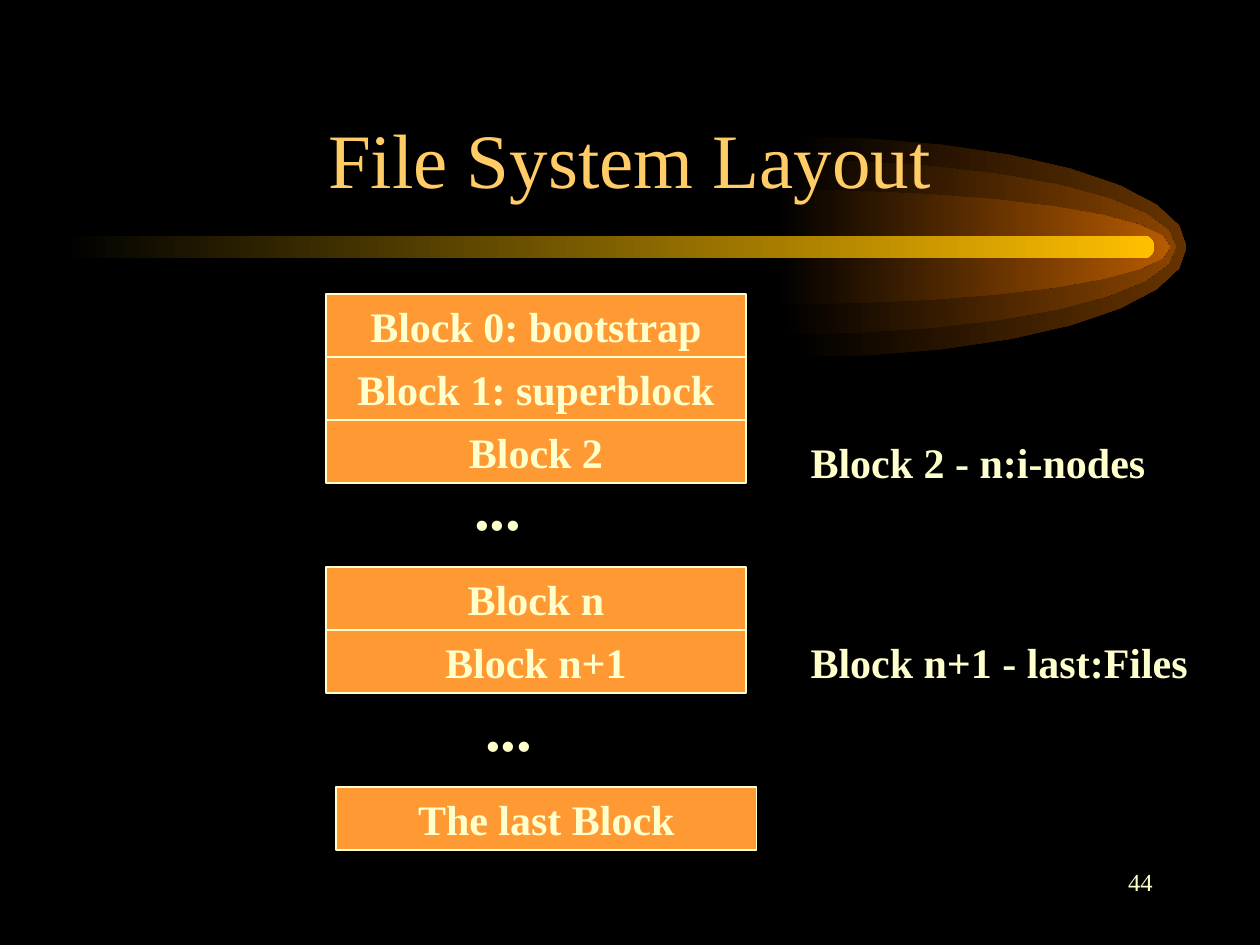
from math import cos, pi, sin

from pptx import Presentation
from pptx.dml.color import RGBColor
from pptx.enum.shapes import MSO_SHAPE
from pptx.enum.text import MSO_ANCHOR, MSO_AUTO_SIZE, PP_ALIGN
from pptx.util import Cm, Pt

COLORS = {
    "background": "000000",
    "title": "FFCC66",
    "text": "FFFFCC",
    "block": "FF9933",
    "bar": "FFBF00",
    "outer glow": "663300",
    "middle glow": "894400",
    "inner glow": "B75B00",
}
FONT = "Times New Roman"

TITLE = "File System Layout"
PAGE_NUMBER = "44"
BLOCK_STACKS = [
    (6.57, 5.93, ["Block 0: bootstrap", "Block 1: superblock", "Block 2"]),
    (6.57, 11.43, ["Block n", "Block n+1"]),
    (6.78, 15.87, ["The last Block"]),
]
ELLIPSES = [(9.31, 9.31), (9.53, 13.76)]
RANGE_LABELS = [
    ("Block 2 - n:i-nodes", 16.09, 8.68, 7.28),
    ("Block n+1 - last:Files", 16.09, 12.7, 8.14),
]
COMET_LAYERS = [
    (15.97, 4.45, "outer glow"),
    (15.76, 3.53, "middle glow"),
    (15.64, 2.31, "inner glow"),
]

BLOCK_WIDTH, BLOCK_HEIGHT = 8.47, 1.27
COMET_LENGTH, COMET_AXIS = 7.95, 4.98
BAR_HEIGHT = 0.46
ARC_STEPS = 16


def color(name):
    return RGBColor.from_string(COLORS[name])


def write(shape, text, size=24, ink="text", bold=True, align=PP_ALIGN.LEFT,
          anchor=MSO_ANCHOR.TOP, wrap=False, fit=MSO_AUTO_SIZE.NONE):
    frame = shape.text_frame
    frame.word_wrap = wrap
    frame.auto_size = fit
    frame.vertical_anchor = anchor
    paragraph = frame.paragraphs[0]
    paragraph.alignment = align
    run = paragraph.add_run()
    run.text = text
    run.font.name = FONT
    run.font.size = Pt(size)
    run.font.bold = bold
    run.font.color.rgb = color(ink)


def add_text(slide, text, left, top, width, height, **text_format):
    box = slide.shapes.add_textbox(Cm(left), Cm(top), Cm(width), Cm(height))
    write(box, text, **text_format)


def fade_from_black(shape, end):
    shape.shadow.inherit = False
    shape.line.fill.background()
    shape.fill.gradient()
    shape.fill.gradient_angle = 0
    first, last = shape.fill.gradient_stops
    first.color.rgb = color("background")
    last.color.rgb = color(end)


def add_comet_layer(slide, left, height, end):
    angles = [pi * (step / ARC_STEPS - 0.5) for step in range(ARC_STEPS + 1)]
    arc = [(Cm(left + COMET_LENGTH * cos(a)),
            Cm(COMET_AXIS + height / 2 * sin(a))) for a in angles]
    builder = slide.shapes.build_freeform(*arc[0])
    builder.add_line_segments(arc[1:], close=True)
    fade_from_black(builder.convert_to_shape(), end)


def add_block(slide, text, left, top):
    block = slide.shapes.add_shape(MSO_SHAPE.RECTANGLE, Cm(left), Cm(top),
                                   Cm(BLOCK_WIDTH), Cm(BLOCK_HEIGHT))
    block.shadow.inherit = False
    block.fill.solid()
    block.fill.fore_color.rgb = color("block")
    block.line.color.rgb = color("text")
    block.line.width = Pt(1)
    write(block, text, align=PP_ALIGN.CENTER, anchor=MSO_ANCHOR.MIDDLE)


def main():
    deck = Presentation()
    deck.slide_width, deck.slide_height = Cm(25.4), Cm(19.05)
    slide = deck.slides.add_slide(deck.slide_layouts[6])
    slide.background.fill.solid()
    slide.background.fill.fore_color.rgb = color("background")

    for left, height, end in COMET_LAYERS:
        add_comet_layer(slide, left, height, end)
    bar = slide.shapes.add_shape(
        MSO_SHAPE.ROUNDED_RECTANGLE, Cm(1.27), Cm(COMET_AXIS - BAR_HEIGHT / 2),
        Cm(22), Cm(BAR_HEIGHT))
    bar.adjustments[0] = 0.5
    fade_from_black(bar, "bar")

    add_text(slide, PAGE_NUMBER, 18.2, 17.36, 5.29, 1.27, size=14, bold=False,
             align=PP_ALIGN.RIGHT, wrap=True)
    add_text(slide, TITLE, 1.9, 1.06, 21.6, 3.18, size=44, ink="title",
             bold=False, align=PP_ALIGN.CENTER, anchor=MSO_ANCHOR.BOTTOM,
             wrap=True)

    for left, top, blocks in BLOCK_STACKS:
        for row, text in enumerate(blocks):
            add_block(slide, text, left, top + row * BLOCK_HEIGHT)
    for left, top in ELLIPSES:
        add_text(slide, "...", left, top, 1.47, 1.78, size=36,
                 fit=MSO_AUTO_SIZE.SHAPE_TO_FIT_TEXT)
    for text, left, top, width in RANGE_LABELS:
        add_text(slide, text, left, top, width, BLOCK_HEIGHT,
                 fit=MSO_AUTO_SIZE.SHAPE_TO_FIT_TEXT)

    deck.save("out.pptx")


if __name__ == "__main__":
    main()
